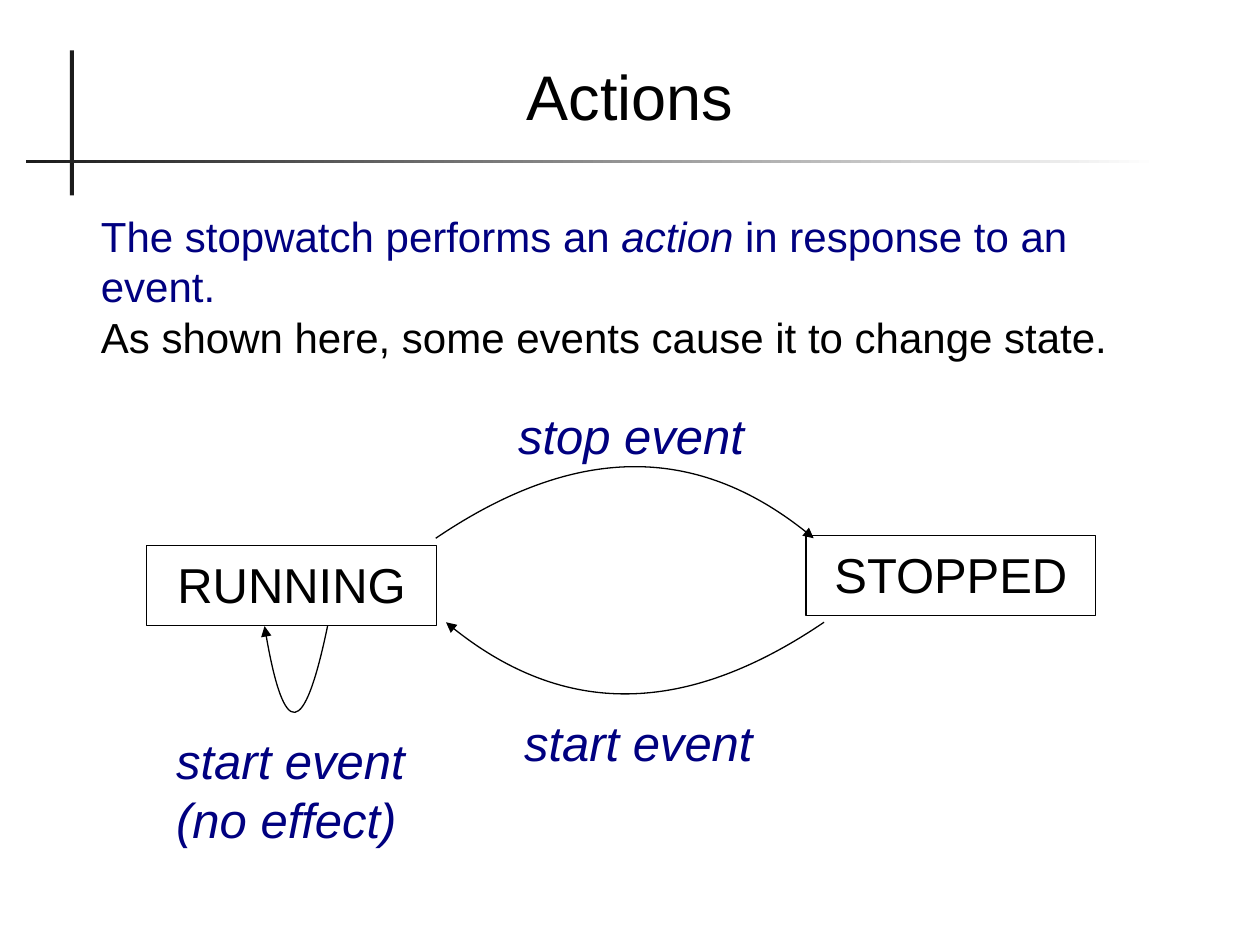
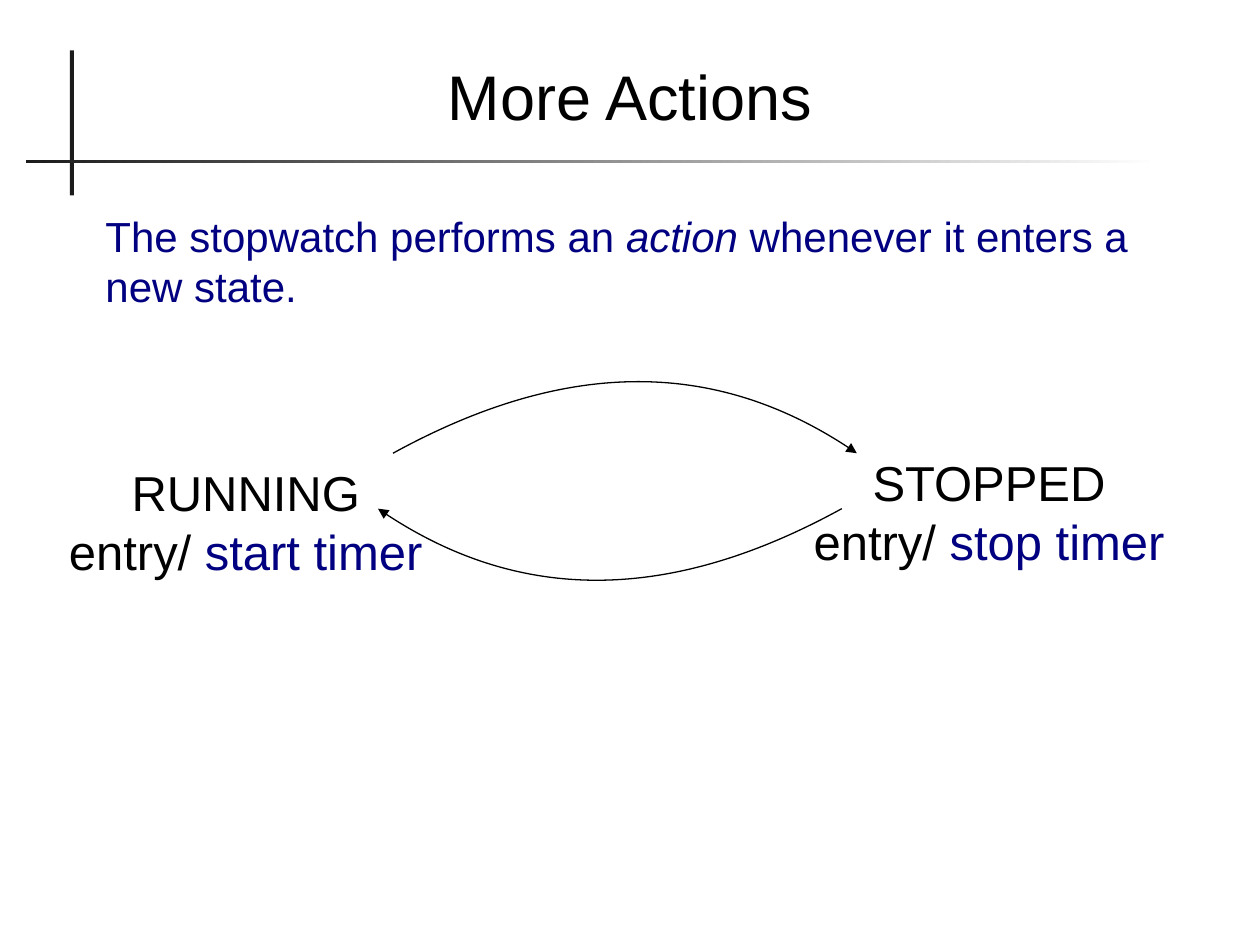
from dataclasses import dataclass

from lxml import etree
from pptx import Presentation
from pptx.dml.color import RGBColor
from pptx.enum.shapes import MSO_SHAPE
from pptx.enum.text import MSO_ANCHOR, PP_ALIGN
from pptx.oxml.ns import qn
from pptx.shapes.autoshape import Shape
from pptx.slide import Slide
from pptx.util import Pt

RECTANGLE = MSO_SHAPE.RECTANGLE
LEFT, CENTER = PP_ALIGN.LEFT, PP_ALIGN.CENTER
TOP, MIDDLE = MSO_ANCHOR.TOP, MSO_ANCHOR.MIDDLE

FONT = "Arial"
BLACK, NAVY, CHARCOAL, WHITE = "000000", "000080", "1C1C1C", "FFFFFF"
TITLE_SIZE, BODY_SIZE, DIAGRAM_SIZE = 36, 24, 28
TEXT_INSETS = (7.2, 3.6)
STATE_INSETS = (8.64, 5.04)


@dataclass(frozen=True)
class Box:
    left: float
    top: float
    width: float
    height: float


@dataclass(frozen=True)
class Span:
    text: str
    color: str = BLACK
    italic: bool = False


Line = list[Span]


@dataclass(frozen=True)
class TextBlock:
    box: Box
    lines: list[Line]
    size: float = DIAGRAM_SIZE
    align: PP_ALIGN = LEFT
    anchor: MSO_ANCHOR = TOP
    insets: tuple[float, float] = TEXT_INSETS
    wrap: bool = True
    outlined: bool = False


@dataclass(frozen=True)
class Transition:
    """A curved arrow between two points at height y, pulled bow points down."""
    start_x: float
    pull_x: float
    end_x: float
    y: float
    bow: float


@dataclass(frozen=True)
class Page:
    title: str
    blocks: list[TextBlock]
    transitions: list[Transition]


def rgb(color: str) -> RGBColor:
    return RGBColor.from_string(color)


def body(left: float, lines: list[Line]) -> TextBlock:
    return TextBlock(Box(left, 116.8, 623.5, 99.4), lines, BODY_SIZE)


def state(box: Box, lines: list[Line], outlined: bool = False) -> TextBlock:
    return TextBlock(box, lines, align=CENTER, insets=STATE_INSETS,
                     outlined=outlined)


def event_label(left: float, top: float, *texts: str) -> TextBlock:
    lines = [[Span(text, NAVY, True)] for text in texts]
    return TextBlock(Box(left, top, 145, 38 * len(texts)), lines, wrap=False)


PAGES = [
    Page(
        "Actions",
        [
            body(50.6, [
                [Span("The stopwatch performs an ", NAVY),
                 Span("action", NAVY, True),
                 Span(" in response to an event.", NAVY)],
                [Span("As shown here, some events cause it to change state.")],
            ]),
            state(Box(83.8, 311.6, 165.6, 46), [[Span("RUNNING")]], True),
            state(Box(460.6, 306, 165.6, 45.6), [[Span("STOPPED")]], True),
            event_label(292.4, 403.6, "start event"),
            event_label(289, 228.2, "stop event"),
            event_label(93.6, 414, "start event", "(no effect)"),
        ],
        [
            Transition(187.2, 167, 151.2, 357.8, 97.2),
            Transition(249, 368.6, 465, 307.6, -81),
            Transition(470.9, 351.4, 254.9, 355.6, 81),
        ],
    ),
    Page(
        "More Actions",
        [
            body(53.2, [
                [Span("The stopwatch performs an ", NAVY),
                 Span("action", NAVY, True),
                 Span(" whenever it enters a new state.", NAVY)],
            ]),
            state(Box(28.8, 259.2, 223.2, 122.4),
                  [[Span("RUNNING")],
                   [Span("entry/ "), Span("start timer", NAVY)]]),
            state(Box(446.4, 253.4, 237.6, 122.4),
                  [[Span("STOPPED")],
                   [Span("entry/ "), Span("stop timer", NAVY)]]),
        ],
        [
            Transition(224.6, 372.2, 489.6, 259, -81),
            Transition(481, 333.4, 216, 290.7, 81),
        ],
    ),
]


def add_rectangle(slide: Slide, box: Box) -> Shape:
    shape = slide.shapes.add_shape(RECTANGLE, Pt(box.left), Pt(box.top),
                                   Pt(box.width), Pt(box.height))
    shape.shadow.inherit = False
    return shape


def add_title_rules(slide: Slide) -> None:
    upright = add_rectangle(slide, Box(39.9, 28.8, 2.3, 82.8))
    upright.fill.solid()
    upright.fill.fore_color.rgb = rgb(CHARCOAL)
    upright.line.fill.background()

    fading = add_rectangle(slide, Box(15, 91.2, 647.3, 2.2))
    fading.fill.gradient()
    fading.fill.gradient_angle = 0
    for stop, color in zip(fading.fill.gradient_stops, (CHARCOAL, WHITE)):
        stop.color.rgb = rgb(color)
    fading.line.fill.background()


def add_text_block(slide: Slide, block: TextBlock) -> None:
    box = block.box
    if block.outlined:
        shape = add_rectangle(slide, box)
        shape.fill.background()
        shape.line.color.rgb = rgb(BLACK)
        shape.line.width = Pt(0.75)
    else:
        shape = slide.shapes.add_textbox(Pt(box.left), Pt(box.top),
                                         Pt(box.width), Pt(box.height))
    frame = shape.text_frame
    frame.word_wrap = block.wrap
    frame.vertical_anchor = block.anchor
    side, end = block.insets
    frame.margin_left = frame.margin_right = Pt(side)
    frame.margin_top = frame.margin_bottom = Pt(end)
    for index, line in enumerate(block.lines):
        para = frame.add_paragraph() if index else frame.paragraphs[0]
        para.alignment = block.align
        para.font.name = FONT
        para.font.size = Pt(block.size)
        for span in line:
            run = para.add_run()
            run.text = span.text
            run.font.color.rgb = rgb(span.color)
            run.font.italic = span.italic


def bend(curve: Shape) -> None:
    """Turn a freeform's two straight segments into one quadratic curve."""
    outline = curve._element.spPr.find(".//" + qn("a:path"))
    segments = outline.findall(qn("a:lnTo"))
    quadratic = etree.SubElement(outline, qn("a:quadBezTo"))
    for segment in segments:
        quadratic.append(segment[0])
        outline.remove(segment)


def add_transition(slide: Slide, arrow: Transition) -> None:
    builder = slide.shapes.build_freeform(Pt(arrow.start_x), Pt(arrow.y))
    builder.add_line_segments(
        [(Pt(arrow.pull_x), Pt(arrow.y + arrow.bow)),
         (Pt(arrow.end_x), Pt(arrow.y))], close=False)
    curve = builder.convert_to_shape()
    bend(curve)
    curve.shadow.inherit = False
    curve.fill.background()
    curve.line.color.rgb = rgb(BLACK)
    curve.line.width = Pt(0)  # hairline
    line = curve._element.spPr.find(qn("a:ln"))
    etree.SubElement(line, qn("a:tailEnd"), type="triangle")


def main() -> None:
    deck = Presentation()
    deck.slide_width, deck.slide_height = Pt(720), Pt(540)
    blank = deck.slide_layouts[6]
    for page in PAGES:
        slide = deck.slides.add_slide(blank)
        add_title_rules(slide)
        add_text_block(slide, TextBlock(
            Box(48.2, 20.7, 623.5, 67.7), [[Span(page.title)]],
            TITLE_SIZE, CENTER, MIDDLE))
        for block in page.blocks:
            add_text_block(slide, block)
        for transition in page.transitions:
            add_transition(slide, transition)
    deck.save("out.pptx")


if __name__ == "__main__":
    main()
